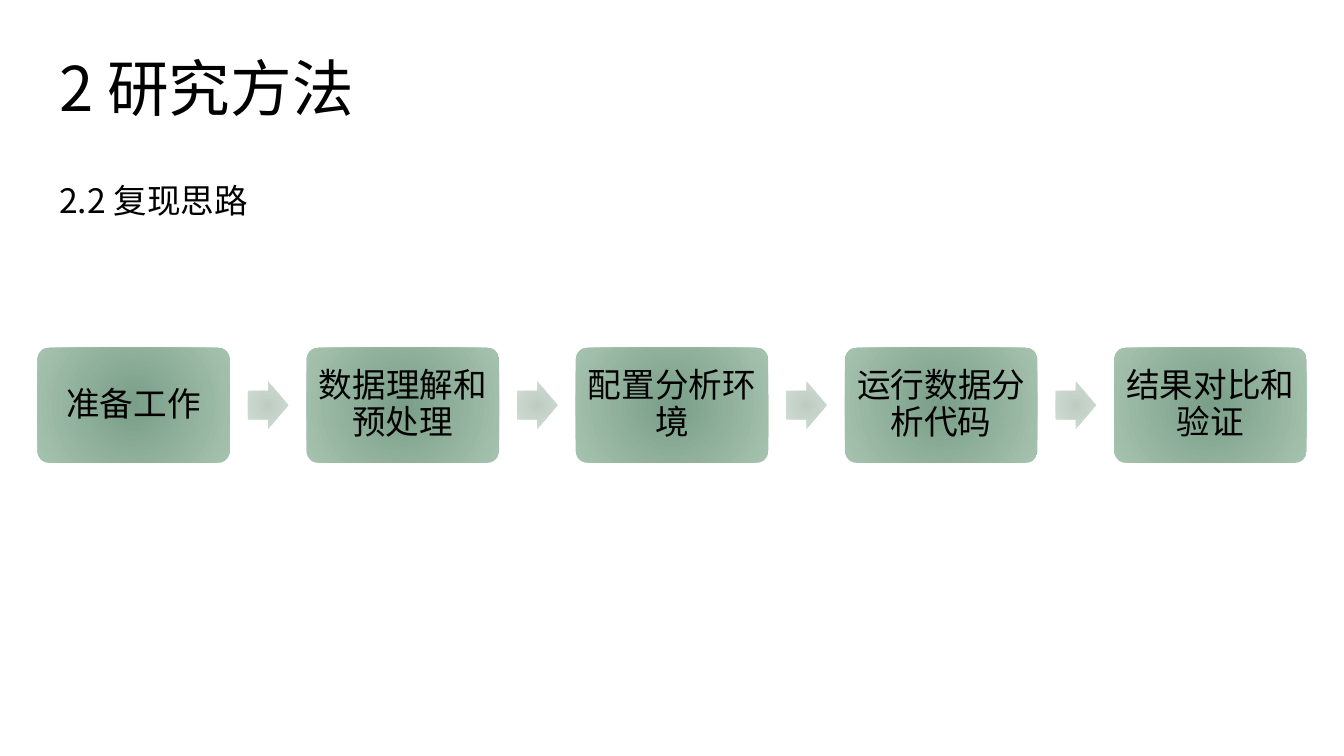
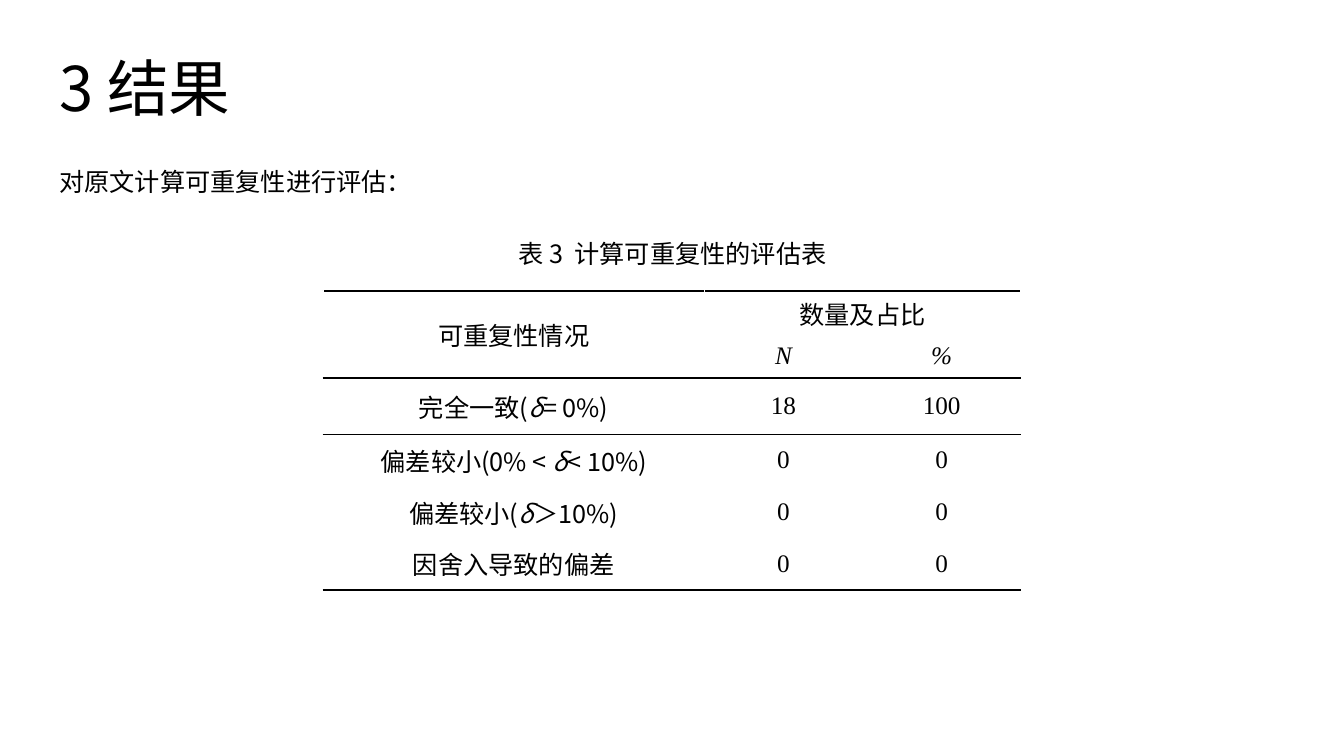
"""Build two slides on reproducing a study: its workflow and its results."""
from lxml import etree
from pptx import Presentation
from pptx import util as u
from pptx.dml import color
from pptx.enum import shapes, text
from pptx.oxml import ns

WIDTH, HEIGHT = 13.33, 7.5
SANS, SERIF = "Noto Sans CJK SC", "Times New Roman"
BLACK = "000000"
STEP_COLOURS = ("7A9E87", "A6C3B0")
ARROW_COLOURS = ("BECCC3", "D0DED4")
MARGIN = 0.49
STEP_LEFT, STEP_PITCH, STEP_WIDTH, STEP_HEIGHT = 0.37, 2.67, 1.91, 1.14
ARROW_WIDTH, ARROW_HEIGHT, ARROW_GAP = 0.4, 0.47, 0.18
FLOW_MIDDLE = 4.02
STEPS = ("准备工作", "数据理解和预处理", "配置分析环境", "运行数据分析代码", "结果对比和验证")
COLUMNS = (3.78, 1.57, 1.57)
ROWS = (0.43, 0.43, 0.56, 0.51, 0.52, 0.51)
RULES = {0: "lnT", 1: "lnB", 2: "lnT", 5: "lnB"}
RESULTS = (
    ("可重复性情况", "数量及占比", ""),
    ("", "N", "%"),
    ("完全一致(δ= 0%)", "18", "100"),
    ("偏差较小(0% < δ< 10%)", "0", "0"),
    ("偏差较小(δ＞10%)", "0", "0"),
    ("因舍入导致的偏差", "0", "0"),
)


def rgb(value):
    """Turn a hex string into a colour."""
    return color.RGBColor.from_string(value)


def apply(target, **values):
    """Set every given format value on the target."""
    for name, value in values.items():
        setattr(target, name, value)


def inches(*lengths):
    """Turn lengths in inches into slide units."""
    return [u.Inches(length) for length in lengths]


def add_span(para, words, size, font=SANS, italic=False):
    """Add one run with its Latin and East Asian fonts."""
    span = para.add_run()
    span.text = words
    span.font.color.rgb = rgb(BLACK)
    apply(span.font, size=u.Pt(size), name=font, italic=italic)
    east = etree.SubElement(span.font._element, ns.qn("a:ea"))
    east.set("typeface", SANS)


def add_label(page, words, left, top, width, height, size, align=text.PP_ALIGN.LEFT):
    """Add a wrapped line of text."""
    box = page.shapes.add_textbox(*inches(left, top, width, height))
    box.text_frame.word_wrap = True
    para = box.text_frame.paragraphs[0]
    para.alignment = align
    add_span(para, words, size)


def add_page(deck, title):
    """Add a blank page with the shared title."""
    page = deck.slides.add_slide(deck.slide_layouts[6])
    add_label(page, title, MARGIN, 0.45, 4.74, 0.84, 44)
    return page


def add_block(page, kind, left, width, height, colours, adjustments):
    """Add a shape with a radial gradient, centred on the flow."""
    top = FLOW_MIDDLE - height / 2
    block = page.shapes.add_shape(kind, *inches(left, top, width, height))
    block.shadow.inherit = False
    block.line.fill.background()
    for index, value in enumerate(adjustments):
        block.adjustments[index] = value
    block.fill.gradient()
    for stop, position, colour in zip(block.fill.gradient_stops, (0, 1), colours):
        stop.position = position
        stop.color.rgb = rgb(colour)
    linear = block._element.spPr.find(".//" + ns.qn("a:lin"))
    radial = etree.Element(ns.qn("a:path"), {"path": "circle"})
    etree.SubElement(radial, ns.qn("a:fillToRect"), dict.fromkeys("ltrb", "100000"))
    linear.getparent().replace(linear, radial)
    return block


def add_step(page, words, left):
    """Add one rounded step of the workflow."""
    step = add_block(page, shapes.MSO_SHAPE.ROUNDED_RECTANGLE, left,
                     STEP_WIDTH, STEP_HEIGHT, STEP_COLOURS, (0.1,))
    inset = u.Inches(0.06)
    apply(step.text_frame, word_wrap=True, vertical_anchor=text.MSO_ANCHOR.MIDDLE,
          margin_left=inset, margin_right=inset, margin_top=inset, margin_bottom=inset)
    para = step.text_frame.paragraphs[0]
    apply(para, alignment=text.PP_ALIGN.CENTER, line_spacing=0.9)
    add_span(para, words, 24)


def add_flow(page, steps):
    """Add the steps with an arrow between neighbours."""
    for index, words in enumerate(steps):
        left = STEP_LEFT + index * STEP_PITCH
        if index:
            add_block(page, shapes.MSO_SHAPE.RIGHT_ARROW,
                      left - ARROW_GAP - ARROW_WIDTH, ARROW_WIDTH, ARROW_HEIGHT,
                      ARROW_COLOURS, (0.6, 0.5))
        add_step(page, words, left)


def add_rule(cell, edge):
    """Draw a black line on one edge of a cell."""
    rule = etree.Element(ns.qn("a:" + edge), {"w": str(u.Pt(1.5))})
    fill = etree.SubElement(rule, ns.qn("a:solidFill"))
    etree.SubElement(fill, ns.qn("a:srgbClr"), {"val": BLACK})
    cell._tc.get_or_add_tcPr().insert(0, rule)


def fill_cell(cell, words, font, italic):
    """Write centred words in a cell, with the symbol δ in italics."""
    apply(cell, vertical_anchor=text.MSO_ANCHOR.MIDDLE, margin_left=u.Inches(0.07),
          margin_right=u.Inches(0.07), margin_top=0, margin_bottom=0)
    cell.fill.background()
    para = cell.text_frame.paragraphs[0]
    para.alignment = text.PP_ALIGN.CENTER
    for part in words.partition("δ"):
        if part:
            add_span(para, part, 18, font, italic or part == "δ")


def add_results(page, left, top):
    """Add the three-line table of results."""
    frame = page.shapes.add_table(len(ROWS), len(COLUMNS),
                                  *inches(left, top, sum(COLUMNS), sum(ROWS)))
    table = frame.table
    apply(table, first_row=False, horz_banding=False)
    for column, width in zip(table.columns, COLUMNS):
        column.width = u.Inches(width)
    for row, height in zip(table.rows, ROWS):
        row.height = u.Inches(height)
    for row, values in enumerate(RESULTS):
        for column, words in enumerate(values):
            cell = table.cell(row, column)
            numeric = row > 0 and column > 0
            fill_cell(cell, words, SERIF if numeric else SANS, numeric and row == 1)
            if row in RULES:
                add_rule(cell, RULES[row])
    table.cell(0, 0).merge(table.cell(1, 0))
    table.cell(0, 1).merge(table.cell(0, 2))


def main():
    """Build and save the deck."""
    deck = Presentation()
    apply(deck, slide_width=u.Inches(WIDTH), slide_height=u.Inches(HEIGHT))
    method = add_page(deck, "2 研究方法")
    add_label(method, "2.2 复现思路", MARGIN, 1.74, 11.75, 0.5, 24)
    add_flow(method, STEPS)
    result = add_page(deck, "3 结果")
    add_label(result, "对原文计算可重复性进行评估：", MARGIN, 1.6, 5.56, 0.4, 18)
    add_label(result, "表 3  计算可重复性的评估表", 3.89, 2.32, 5.56, 0.4, 18,
              text.PP_ALIGN.CENTER)
    add_results(result, (WIDTH - sum(COLUMNS)) / 2, 2.89)
    deck.save("out.pptx")


if __name__ == "__main__":
    main()
